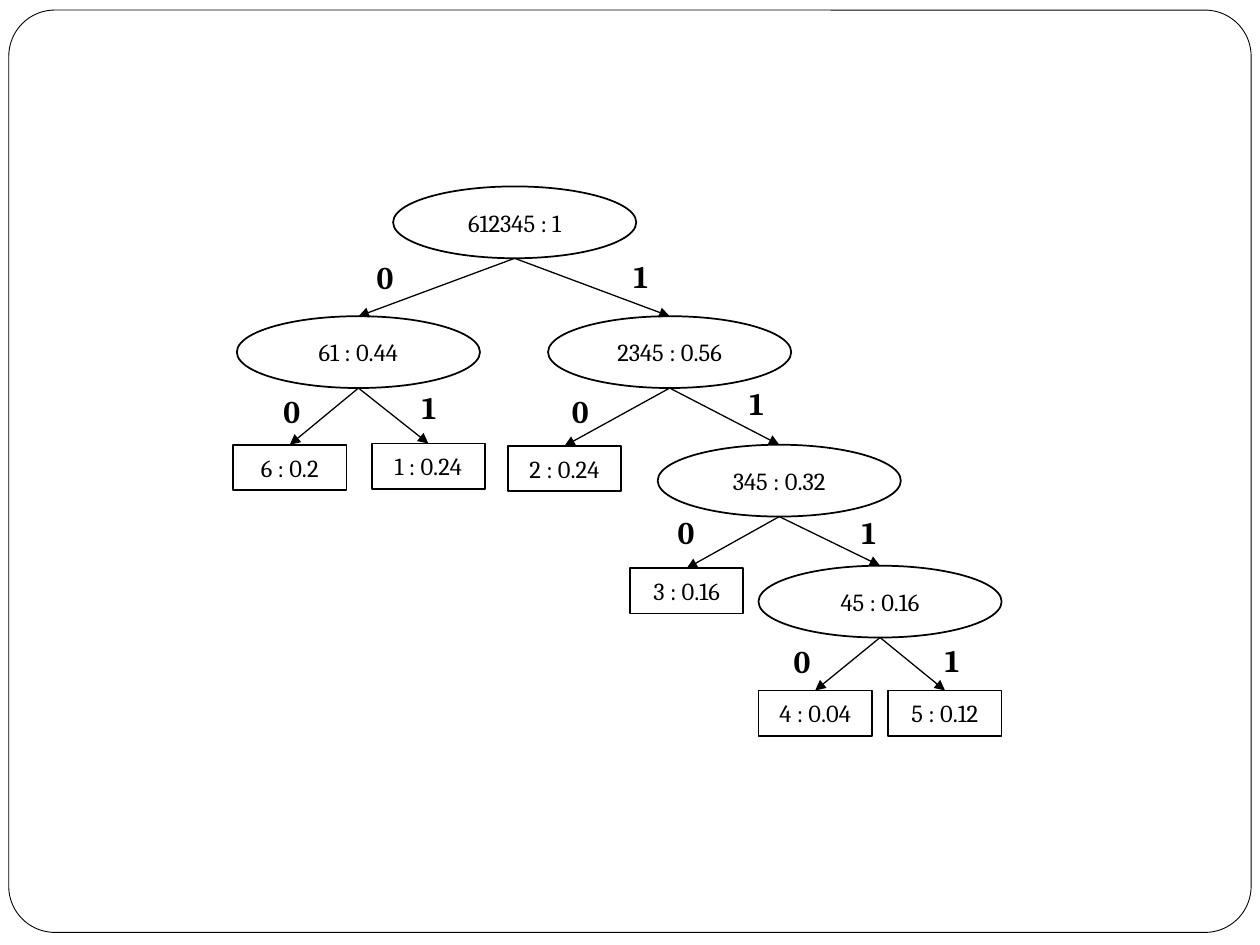
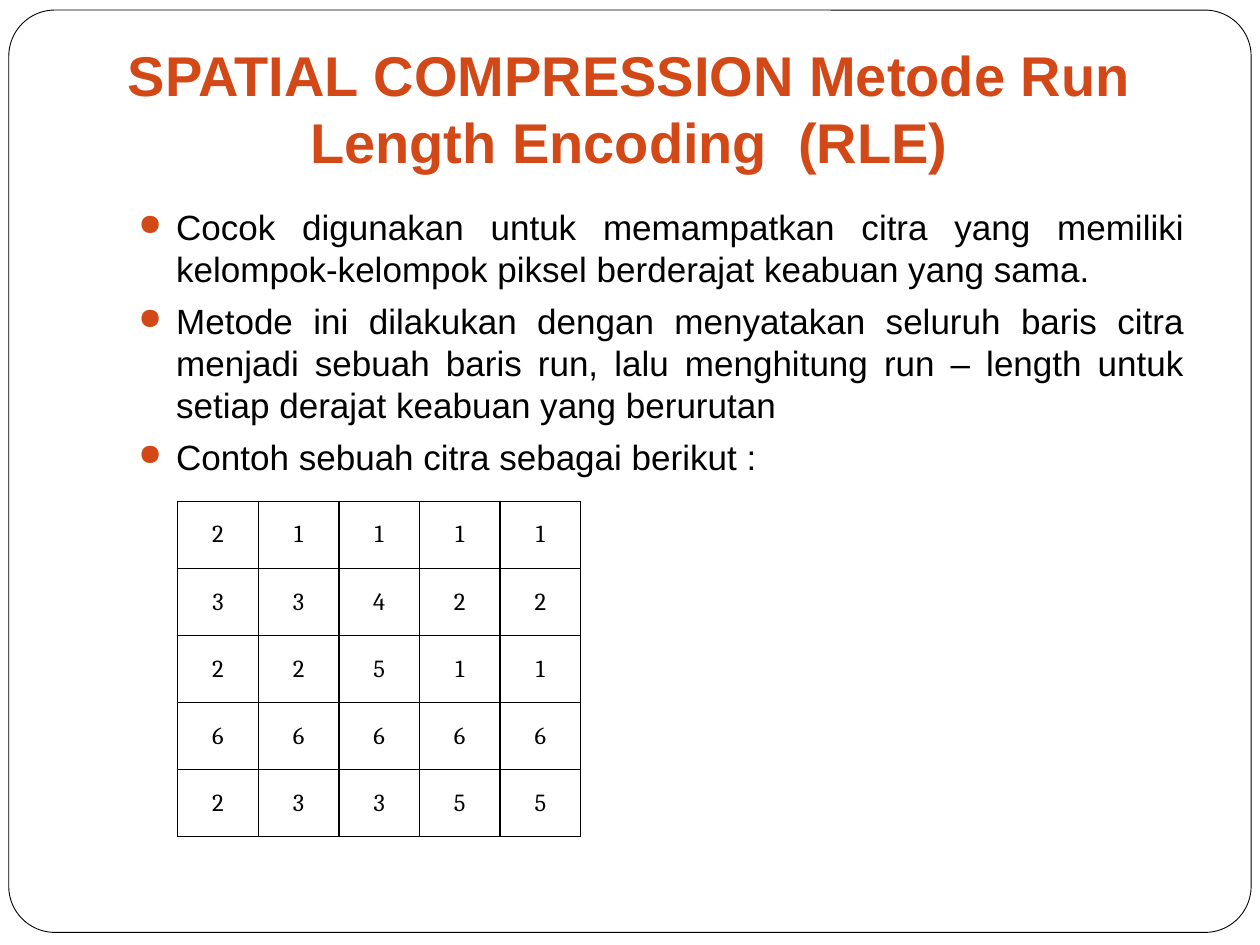
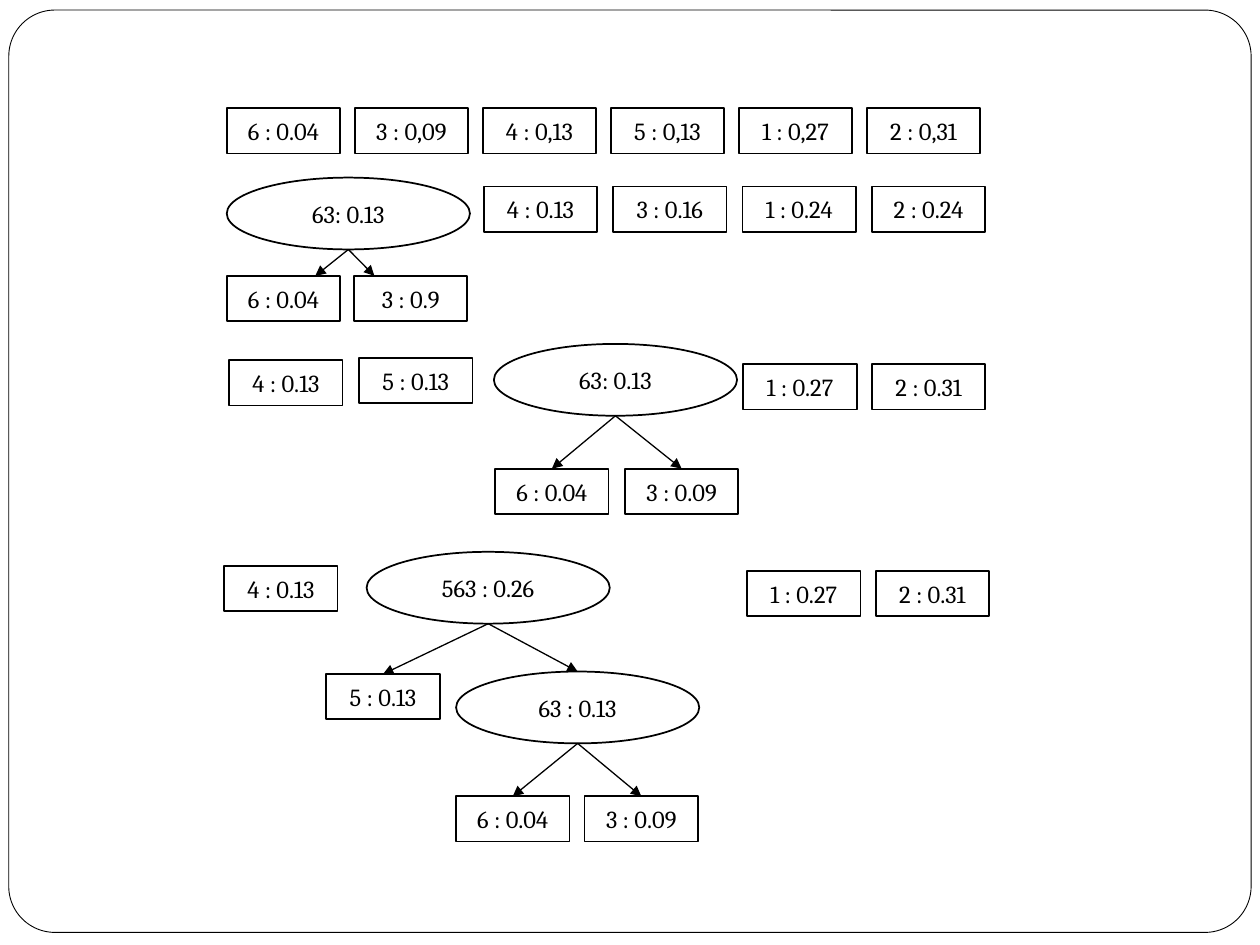
"""Build three slides on Huffman trees and run length encoding."""
from lxml import etree
from pptx import Presentation
from pptx.dml.color import RGBColor
from pptx.enum.shapes import MSO_CONNECTOR, MSO_SHAPE
from pptx.enum.text import MSO_ANCHOR, MSO_AUTO_SIZE, PP_ALIGN
from pptx.oxml.ns import qn
from pptx.util import Inches, Pt

STRAIGHT = MSO_CONNECTOR.STRAIGHT
RECTANGLE, ELLIPSE = MSO_SHAPE.RECTANGLE, MSO_SHAPE.OVAL
ROUNDED = MSO_SHAPE.ROUNDED_RECTANGLE
MIDDLE, BOTTOM = MSO_ANCHOR.MIDDLE, MSO_ANCHOR.BOTTOM
LEFT, CENTER, JUSTIFY = PP_ALIGN.LEFT, PP_ALIGN.CENTER, PP_ALIGN.JUSTIFY
GROW = MSO_AUTO_SIZE.SHAPE_TO_FIT_TEXT

COLORS = {"ink": "000000", "paper": "FFFFFF", "accent": "D34817"}
SANS, SERIF = "Arial", "Cambria"
COLUMNS, ROWS = 10, 7.5
LEAF = (0.9, 0.36)
BRANCH = (1.93, 0.57)


def color(name):
    return RGBColor.from_string(COLORS[name])


class Deck:
    def __init__(self):
        self.deck = Presentation()
        self.deck.slide_width, self.deck.slide_height = Inches(10), Inches(7.5)
        self.column = self.deck.slide_width / COLUMNS
        self.row = self.deck.slide_height / ROWS
        self.page = None

    def place(self, left, top, width, height):
        return (round(left * self.column), round(top * self.row),
                round(width * self.column), round(height * self.row))

    def new_page(self):
        self.page = self.deck.slides.add_slide(self.deck.slide_layouts[6])
        frame = self.shape(ROUNDED, 0.07, 0.08, 9.86, 7.32, 0.5)
        frame.adjustments[0] = 0.05

    def shape(self, kind, left, top, width, height, line):
        shape = self.page.shapes.add_shape(kind, *self.place(left, top, width, height))
        shape.shadow.inherit = False
        shape.fill.solid()
        shape.fill.fore_color.rgb = color("paper")
        shape.line.color.rgb = color("ink")
        shape.line.width = Pt(line)
        return shape

    def set_text(self, para, text, font, size, align, bold=False, tint="ink"):
        para.text = text
        para.alignment = align
        para.font.name, para.font.size, para.font.bold = font, Pt(size), bold
        para.font.color.rgb = color(tint)

    def node(self, kind, size, text, left, top):
        shape = self.shape(kind, left, top, *size, 1)
        shape.text_frame.vertical_anchor = MIDDLE
        self.set_text(shape.text_frame.paragraphs[0], text, SERIF, 14, CENTER)
        return shape

    def leaf(self, text, left, top):
        return self.node(RECTANGLE, LEAF, text, left, top)

    def branch(self, text, left, top):
        return self.node(ELLIPSE, BRANCH, text, left, top)

    def leaves(self, texts, first, last, top):
        step = (last - first) / (len(texts) - 1)
        return [self.leaf(text, first + i * step, top) for i, text in enumerate(texts)]

    def arrows(self, parent, children, landings=(0.5, 0.5)):
        for child, share in zip(children, landings):
            arrow = self.page.shapes.add_connector(
                STRAIGHT, parent.left + parent.width // 2, parent.top + parent.height,
                child.left + round(child.width * share), child.top)
            arrow.line.color.rgb = color("ink")
            arrow.line.width = Pt(0.75)
            props = arrow._element.spPr
            etree.SubElement(props.find(qn("a:ln")), qn("a:tailEnd"), type="triangle")
            etree.SubElement(props, qn("a:effectLst"))

    def text_box(self, left, top, width, height, wrap=True):
        box = self.page.shapes.add_textbox(*self.place(left, top, width, height))
        box.text_frame.word_wrap = wrap
        return box.text_frame

    def bit(self, text, left, top):
        frame = self.text_box(left, top, 0.33, 0.4, wrap=False)
        frame.auto_size = GROW
        self.set_text(frame.paragraphs[0], text, SERIF, 18, LEFT, bold=True)

    def title(self, text):
        frame = self.text_box(0.7, 0.55, 8.59, 0.94)
        frame.vertical_anchor = BOTTOM
        frame.margin_bottom = Inches(0.1)
        self.set_text(frame.paragraphs[0], text, SANS, 32, CENTER, bold=True, tint="accent")

    def bullets(self, texts, left, top, width, height):
        frame = self.text_box(left, top, width, height)
        for i, text in enumerate(texts):
            para = frame.add_paragraph() if i else frame.paragraphs[0]
            self.set_text(para, text, SANS, 20, JUSTIFY)
            para.space_before = Pt(5.8)
            props = para._p.get_or_add_pPr()
            props.set("marL", str(Inches(0.3)))
            props.set("indent", str(-Inches(0.3)))
            marks = [etree.Element(qn("a:buClr")),
                     etree.Element(qn("a:buSzPct"), val="85000"),
                     etree.Element(qn("a:buChar"), char="●")]
            etree.SubElement(marks[0], qn("a:srgbClr"), val=COLORS["accent"])
            for mark in marks:
                props.find(qn("a:defRPr")).addprevious(mark)

    def border(self, cell):
        props = cell._tc.get_or_add_tcPr()
        for side in ("lnL", "lnR", "lnT", "lnB"):
            line = etree.SubElement(props, qn("a:" + side), w=str(Pt(1)))
            fill = etree.SubElement(line, qn("a:solidFill"))
            etree.SubElement(fill, qn("a:srgbClr"), val=COLORS["ink"])

    def table(self, values, left, top, width, height):
        table = self.page.shapes.add_table(
            len(values), len(values[0]), *self.place(left, top, width, height)).table
        table.first_row = table.horz_banding = False
        for r, line in enumerate(values):
            for c, value in enumerate(line):
                cell = table.cell(r, c)
                self.border(cell)
                cell.fill.background()
                cell.vertical_anchor = MIDDLE
                cell.margin_left = cell.margin_right = Inches(0.07)
                cell.margin_top = cell.margin_bottom = Inches(0.04)
                self.set_text(cell.text_frame.paragraphs[0], value, SERIF, 14, CENTER)


def code_tree(deck):
    deck.new_page()
    root = deck.branch("612345 : 1", 3.12, 1.48)
    left = deck.branch("61 : 0.44", 1.88, 2.51)
    right = deck.branch("2345 : 0.56", 4.35, 2.51)
    third = deck.branch("345 : 0.32", 5.22, 3.53)
    fourth = deck.branch("45 : 0.16", 6.02, 4.49)
    deck.arrows(root, [left, right])
    deck.arrows(left, [deck.leaf("6 : 0.2", 1.85, 3.53), deck.leaf("1 : 0.24", 2.95, 3.52)])
    deck.arrows(right, [deck.leaf("2 : 0.24", 4.03, 3.54), third])
    deck.arrows(third, [deck.leaf("3 : 0.16", 5, 4.51), fourth])
    deck.arrows(fourth, deck.leaves(["4 : 0.04", "5 : 0.12"], 6.02, 7.05, 5.48))
    bits = {"0": [(2.89, 2), (2.15, 3.06), (4.44, 3.06), (5.28, 4.02), (6.2, 5.05)],
            "1": [(4.93, 1.99), (3.25, 3.03), (5.85, 3), (6.74, 4.02), (7.4, 5.04)]}
    for text, spots in bits.items():
        for spot in spots:
            deck.bit(text, *spot)


def run_length(deck):
    deck.new_page()
    deck.title("SPATIAL COMPRESSION Metode Run Length Encoding  (RLE)")
    deck.bullets([
        "Cocok digunakan untuk memampatkan citra yang memiliki kelompok-kelompok "
        "piksel berderajat keabuan yang sama.",
        "Metode ini dilakukan dengan menyatakan seluruh baris citra menjadi sebuah "
        "baris run, lalu menghitung run – length untuk setiap derajat keabuan yang "
        "berurutan",
        "Contoh sebuah citra sebagai berikut :"], 1, 1.58, 8.5, 5)
    deck.table(["21111", "33422", "22511", "66666", "23355"], 1.41, 3.98, 3.2, 2.66)


def merge_steps(deck):
    deck.new_page()
    deck.leaves(["6 : 0.04", "3 : 0,09", "4 : 0,13", "5 : 0,13", "1 : 0,27", "2 : 0,31"],
                1.8, 6.88, 0.86)

    first = deck.branch("63: 0.13", 1.8, 1.41)
    deck.leaves(["4 : 0.13", "3 : 0.16", "1 : 0.24", "2 : 0.24"], 3.84, 6.92, 1.48)
    deck.arrows(first, deck.leaves(["6 : 0.04", "3 : 0.9"], 1.8, 2.81, 2.19), (0.78, 0.18))

    deck.leaf("4 : 0.13", 1.82, 2.86)
    deck.leaf("5 : 0.13", 2.85, 2.84)
    second = deck.branch("63: 0.13", 3.92, 2.73)
    deck.leaves(["1 : 0.27", "2 : 0.31"], 5.9, 6.92, 2.89)
    deck.arrows(second, deck.leaves(["6 : 0.04", "3 : 0.09"], 3.93, 4.96, 3.72))

    deck.leaf("4 : 0.13", 1.78, 4.49)
    third = deck.branch("563 : 0.26", 2.91, 4.38)
    deck.leaves(["1 : 0.27", "2 : 0.31"], 5.93, 6.95, 4.53)
    inner = deck.branch("63 : 0.13", 3.62, 5.33)
    deck.arrows(third, [deck.leaf("5 : 0.13", 2.59, 5.35), inner])
    deck.arrows(inner, deck.leaves(["6 : 0.04", "3 : 0.09"], 3.62, 4.64, 6.32))


slides = Deck()
for build in (code_tree, run_length, merge_steps):
    build(slides)
slides.deck.save("out.pptx")
